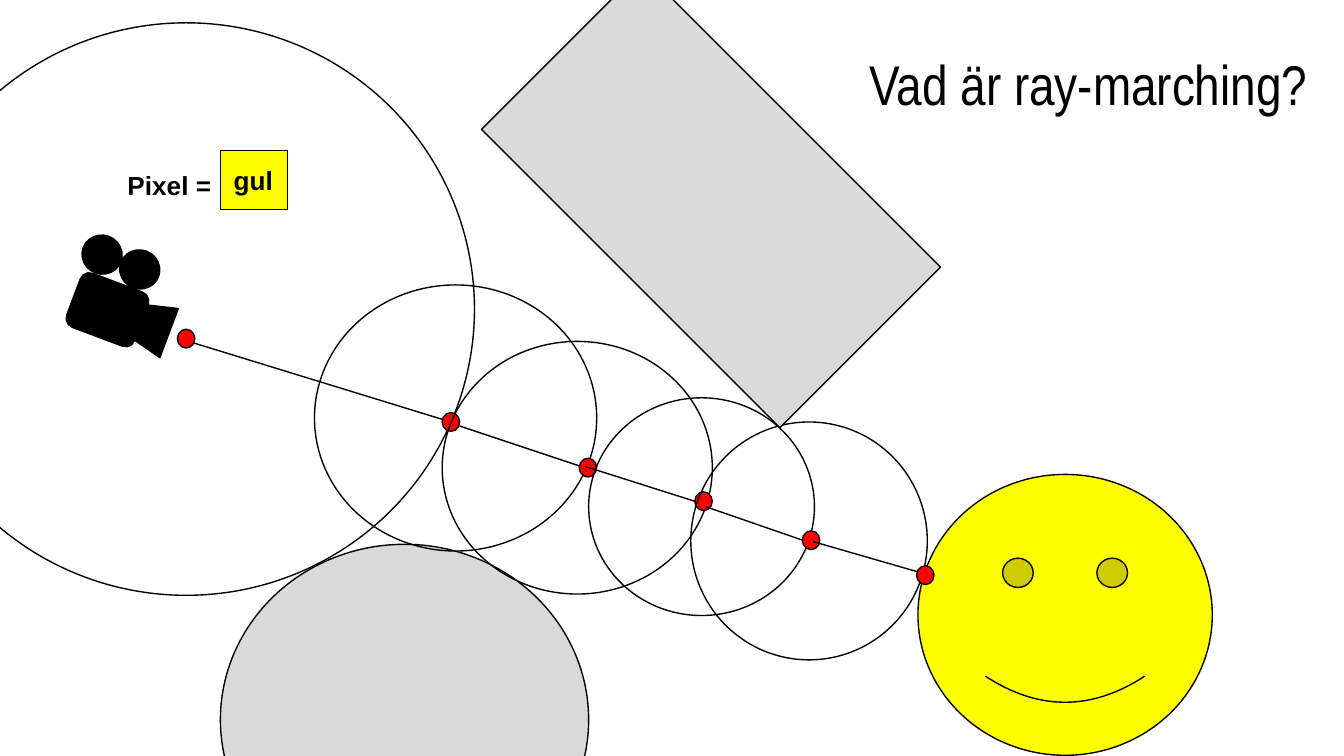
"""Builds a slide that explains ray marching with circles along a camera ray."""
from dataclasses import dataclass
from typing import Optional, Union

from lxml.etree import SubElement
from pptx import Presentation
from pptx.dml.color import RGBColor
from pptx.enum.shapes import MSO_CONNECTOR as Connector, MSO_SHAPE as Preset
from pptx.enum.text import MSO_ANCHOR as Anchor, MSO_AUTO_SIZE as AutoSize, PP_ALIGN as Align
from pptx.oxml.ns import qn
from pptx.util import Inches, Length, Pt

COLUMNS, ROWS = 100, 56.25
CELL = 0.1
LINE_WIDTH = 0.75
DOT_WIDTH, DOT_HEIGHT = 1.3, 1.4
CAMERA_TILT = 20.6
COLORS = {
    "black": "000000",
    "gray": "D9D9D9",
    "red": "FF0000",
    "yellow": "FFFF00",
}


@dataclass(frozen=True)
class Figure:
    """A preset shape placed on the grid."""
    preset: Preset
    column: float
    row: float
    width: float
    height: float
    fill: Optional[str] = None
    rotation: float = 0
    adjustment: Optional[float] = None


@dataclass(frozen=True)
class Ray:
    """A straight step of the ray between two grid points."""
    start: tuple[float, float]
    end: tuple[float, float]


def circle(column: float, row: float, width: float, height: float, fill: Optional[str] = None,
           rotation: float = 0) -> Figure:
    """Describe an ellipse, hollow unless a fill is named."""
    return Figure(Preset.OVAL, column, row, width, height, fill, rotation)


def dot(column: float, row: float) -> Figure:
    """Describe a red sample point on the ray."""
    return circle(column, row, DOT_WIDTH, DOT_HEIGHT, "red")


SCENE: list[Union[Figure, Ray]] = [
    Ray((13.7, 25.3), (34.2, 31.6)),
    circle(-7.6, 1.7, 42.9, 42.6),
    circle(16.4, 40.5, 27.4, 26.1, "gray"),
    circle(23.4, 21.2, 21, 19.8),
    Ray((34.2, 31.7), (43.8, 34.9)),
    dot(32.9, 30.7),
    Figure(Preset.SMILEY_FACE, 68.3, 35.3, 21.9, 20.9, "yellow", adjustment=0.047),
    dot(13.2, 24.5),
    circle(32.9, 25.4, 20.1, 18.8),
    dot(43.1, 34.1),
    circle(43.8, 29.6, 16.8, 16.2),
    dot(51.7, 36.6),
    circle(51.4, 31.4, 17.6, 17.7),
    Ray((43.5, 34.7), (51.7, 37.3)),
    Ray((52.5, 37.7), (60.3, 40.4)),
    dot(59.7, 39.5),
    Ray((60.5, 40.3), (68.8, 42.7)),
    dot(68.2, 42.1),
    Figure(Preset.TRAPEZOID, 37.2, 6.3, 31.4, 16.9, "gray", 225, 0),
    Figure(Preset.ROUNDED_RECTANGLE, 5.3, 20.9, 5.4, 4.3, "black", CAMERA_TILT, 0.167),
    circle(6.1, 17.5, 3, 2.9, "black", CAMERA_TILT),
    circle(8.9, 18.6, 3, 2.9, "black", CAMERA_TILT),
    Figure(Preset.TRAPEZOID, 9.6, 23.3, 3.9, 2.2, "black", CAMERA_TILT + 270, 0.25),
]
PIXEL_BOX = Figure(Preset.RECTANGLE, 16.4, 11.2, 5, 4.4, "yellow")


def grid(cells: float) -> Length:
    """Convert a number of grid cells to a length."""
    return Inches(cells * CELL)


def color(name: str) -> RGBColor:
    """Look up a named colour."""
    return RGBColor.from_string(COLORS[name])


def draw_figure(slide, figure: Figure):
    """Draw a preset shape with a thin black outline."""
    shape = slide.shapes.add_shape(figure.preset, grid(figure.column), grid(figure.row),
                                   grid(figure.width), grid(figure.height))
    shape.shadow.inherit = False
    shape.rotation = figure.rotation
    if figure.adjustment is not None:
        shape.adjustments[0] = figure.adjustment
    if figure.fill:
        shape.fill.solid()
        shape.fill.fore_color.rgb = color(figure.fill)
    else:
        shape.fill.background()
    shape.line.color.rgb = color("black")
    shape.line.width = Pt(LINE_WIDTH)
    return shape


def draw_ray(slide, ray: Ray) -> None:
    """Draw one step of the ray as a plain connector."""
    connector = slide.shapes.add_connector(Connector.STRAIGHT, *map(grid, ray.start + ray.end))
    connector.line.color.rgb = color("black")
    connector.line.width = Pt(LINE_WIDTH)
    SubElement(connector._element.spPr, qn("a:effectLst"))


def write_text(shape, text: str, *, size: float = 14, font: str = "Arial", bold: bool = True,
               anchor: Anchor = Anchor.TOP) -> None:
    """Write one left-aligned paragraph in a shape."""
    frame = shape.text_frame
    frame.word_wrap = True
    frame.auto_size = AutoSize.NONE
    frame.vertical_anchor = anchor
    frame.margin_left = frame.margin_right = frame.margin_top = frame.margin_bottom = grid(1)
    paragraph = frame.paragraphs[0]
    paragraph.alignment = Align.LEFT
    run = paragraph.add_run()
    run.text = text
    run.font.size = Pt(size)
    run.font.name = font
    run.font.bold = bold
    run.font.color.rgb = color("black")


def main() -> None:
    """Build and save the presentation."""
    presentation = Presentation()
    presentation.slide_width, presentation.slide_height = grid(COLUMNS), grid(ROWS)
    slide = presentation.slides.add_slide(presentation.slide_layouts.get_by_name("Title Only"))

    title = slide.shapes.title
    title.left, title.top, title.width, title.height = map(grid, (63.7, 2.7, 93.2, 6.3))
    write_text(title, "Vad är ray-marching?", size=30, font="Arial Narrow", bold=False)

    for item in SCENE:
        if isinstance(item, Ray):
            draw_ray(slide, item)
        else:
            draw_figure(slide, item)

    label = slide.shapes.add_textbox(*map(grid, (8.5, 11.6, 8.9, 3.8)))
    write_text(label, "Pixel =")
    write_text(draw_figure(slide, PIXEL_BOX), "gul", anchor=Anchor.MIDDLE)

    presentation.save("out.pptx")


if __name__ == "__main__":
    main()
